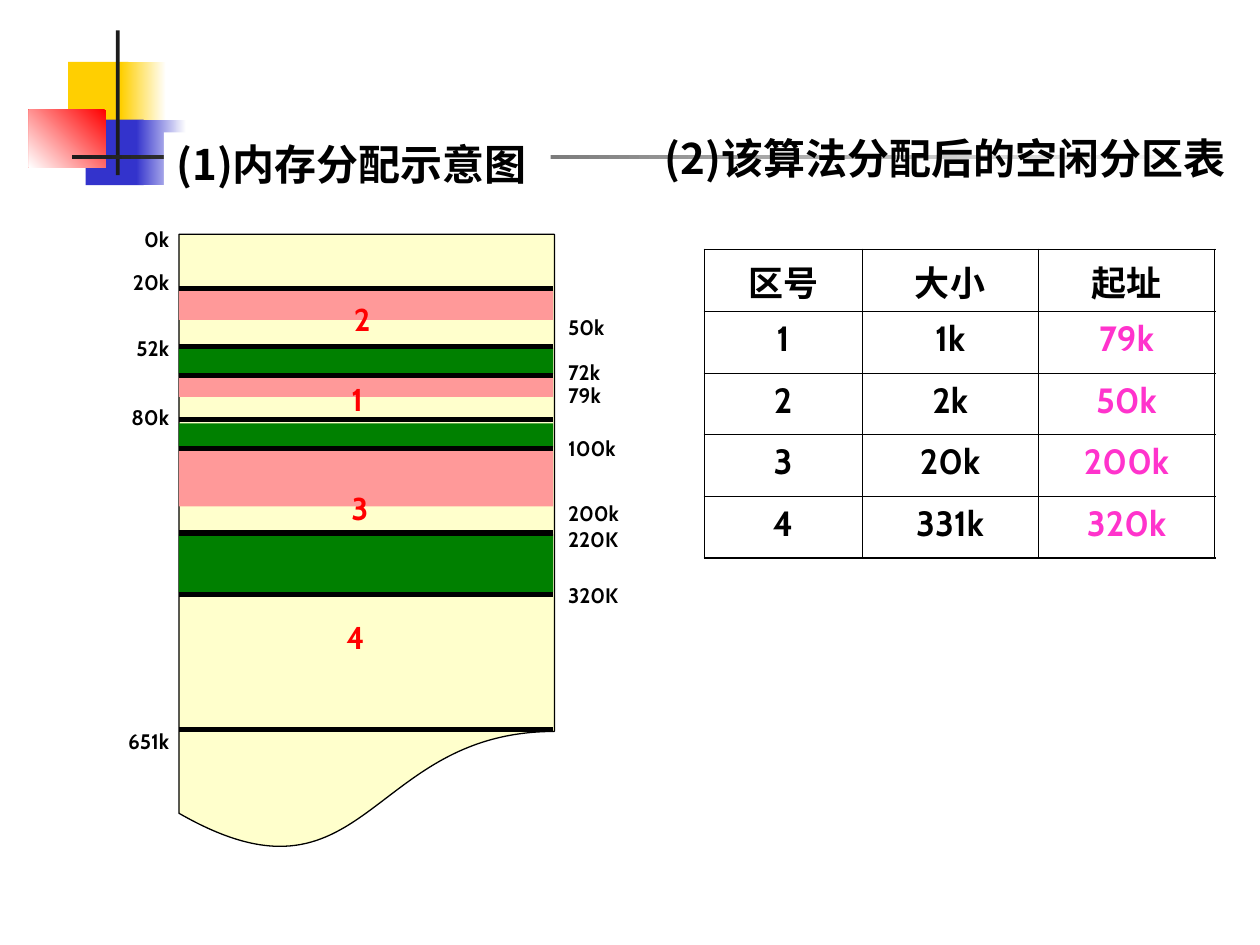
from lxml import etree
from pptx import Presentation
from pptx import util as u
from pptx.dml.color import RGBColor
from pptx.enum import shapes, text
from pptx.oxml import ns

COLORS = {
    "white": "FFFFFF", "black": "000000", "ink": "1C1C1C", "gold": "FFCF01",
    "blue": "3333CC", "red": "FF0000", "cream": "FFFFCC", "pink": "FF9999",
    "green": "008000", "magenta": "FF33CC",
}
SANS = "Cabin"
HAN = "Noto Sans CJK SC"
LEFT, WIDE = 1.42, 2.97


def rgb(name):
    return RGBColor.from_string(COLORS[name])


def place(item, *box):
    item.left, item.top, item.width, item.height = map(u.Inches, box)


def write(frame, words, size=12, font=SANS, color="black", align="LEFT",
          anchor="MIDDLE", wrap=True):
    frame.word_wrap = wrap
    frame.vertical_anchor = text.MSO_ANCHOR[anchor]
    para = frame.paragraphs[0]
    para.alignment = text.PP_ALIGN[align]
    run = para.add_run()
    run.text = words
    run.font.size = u.Pt(size)
    run.font.bold = True
    run.font.name = font
    run.font.color.rgb = rgb(color)
    east = etree.SubElement(run._r.get_or_add_rPr(), ns.qn("a:ea"))
    east.set("typeface", HAN)


def label(slide, words, *box, **form):
    item = slide.shapes.add_textbox(*map(u.Inches, box))
    write(item.text_frame, words, **form)


def block(slide, *box, fill, kind="RECTANGLE", line=None):
    item = slide.shapes.add_shape(shapes.MSO_SHAPE[kind], *map(u.Inches, box))
    item.shadow.inherit = False
    item.fill.solid()
    item.fill.fore_color.rgb = rgb(fill)
    if line:
        item.line.color.rgb = rgb("black")
        item.line.width = u.Pt(line)
    else:
        item.line.fill.background()
    return item


def fade(slide, *box, start, end, angle=180):
    item = block(slide, *box, fill=end)
    item.fill.gradient()
    item.fill.gradient_angle = angle
    for stop, name in zip(item.fill.gradient_stops, (start, end)):
        stop.color.rgb = rgb(name)


def rule(slide, left, y):
    ends = map(u.Inches, (left, y, left + WIDE, y))
    item = slide.shapes.add_connector(shapes.MSO_CONNECTOR.STRAIGHT, *ends)
    item.line.color.rgb = rgb("black")
    item.line.width = u.Pt(3)
    etree.SubElement(item._element.spPr, ns.qn("a:effectLst"))


def edge(cell, side, width):
    line = etree.SubElement(cell._tc.get_or_add_tcPr(), ns.qn("a:ln" + side))
    line.set("w", str(u.Pt(width)))
    fill = etree.SubElement(line, ns.qn("a:solidFill"))
    etree.SubElement(fill, ns.qn("a:srgbClr")).set("val", COLORS["black"])


def decor(slide):
    block(slide, 0.54, 0.49, 0.48, 0.52, fill="gold")
    fade(slide, 0.96, 0.49, 0.36, 0.52, start="white", end="gold")
    block(slide, 0.68, 0.95, 0.46, 0.52, fill="blue")
    fade(slide, 1.08, 0.95, 0.4, 0.52, start="white", end="blue")
    fade(slide, 0.23, 0.87, 0.61, 0.46, start="red", end="white", angle=225)
    block(slide, 0.92, 0.24, 0.03, 1.15, fill="ink")
    fade(slide, 0.57, 1.23, 9, 0.03, start="white", end="ink")


def heads(slide):
    title = slide.shapes.title
    slide.shapes._spTree.append(title._element)
    place(title, 1.3, 1.05, 3.07, 0.5)
    title.fill.solid()
    title.fill.fore_color.rgb = rgb("white")
    write(title.text_frame, "(1)内存分配示意图", size=24, font=HAN)
    label(slide, "(2)该算法分配后的空闲分区表", 5, 1, 5, 0.5,
          size=24, font=HAN, align="CENTER")


def memory(slide):
    block(slide, LEFT, 1.86, 2.98, 4.92, fill="cream",
          kind="FLOWCHART_DOCUMENT", line=0.75)
    bands = [
        ("green", 2.76, 0.21), ("green", 3.36, 0.19), ("green", 4.24, 0.46),
        ("pink", 2.31, 0.23), ("pink", 2.99, 0.16), ("pink", 3.58, 0.44),
    ]
    for name, top, high in bands:
        block(slide, LEFT, top, WIDE, high, fill=name)
    for y in (2.29, 2.75, 2.98, 3.33, 3.56, 4.23, 4.72, 5.79):
        rule(slide, LEFT, y)

    starts = [("0k", 1.9), ("20k", 2.24), ("52k", 2.76), ("80k", 3.31),
              ("651k", 5.88)]
    for words, y in starts:
        label(slide, words, 0.2, y - 0.15, 1.24, 0.3, align="RIGHT")
    ends = [("50k", 2.6), ("72k", 2.95), ("79k", 3.14), ("100k", 3.56),
            ("200k", 4.07), ("220K", 4.28), ("320K", 4.72)]
    for words, y in ends:
        label(slide, words, 4.41, y - 0.15, 0.91, 0.3)
    areas = [("4", 2.65, 4.86), ("1", 2.69, 2.97), ("3", 2.69, 3.83),
             ("2", 2.71, 2.33)]
    for words, x, y in areas:
        label(slide, words, x, y, 0.34, 0.4, size=18, color="red",
              anchor="TOP", wrap=False)


def table(slide):
    rows = [
        ("区号", "大小", "起址"),
        ("1", "1k", "79k"),
        ("2", "2k", "50k"),
        ("3", "20k", "200k"),
        ("4", "331k", "320k"),
    ]
    box = map(u.Inches, (5.59, 1.98, 4.05, 2.45))
    grid = slide.shapes.add_table(len(rows), 3, *box).table
    grid.first_row = grid.horz_banding = False
    for col, width in zip(grid.columns, (1.25, 1.4, 1.4)):
        col.width = u.Inches(width)
    for r, row in enumerate(rows):
        for c, words in enumerate(row):
            cell = grid.cell(r, c)
            outer = {"L": c == 0, "R": c == 2, "T": r == 0,
                     "B": r == len(rows) - 1}
            for side, bold in outer.items():
                edge(cell, side, 1.08 if bold else 0.45)
            cell.fill.background()
            cell.vertical_anchor = text.MSO_ANCHOR.TOP
            write(cell.text_frame, words, size=20, align="CENTER",
                  anchor="TOP", color="magenta" if r and c == 2 else "black")


def main():
    deck = Presentation()
    deck.slide_width, deck.slide_height = u.Inches(10), u.Inches(7.5)
    slide = deck.slides.add_slide(deck.slide_layouts[5])
    decor(slide)
    heads(slide)
    table(slide)
    memory(slide)
    deck.save("out.pptx")


if __name__ == "__main__":
    main()
